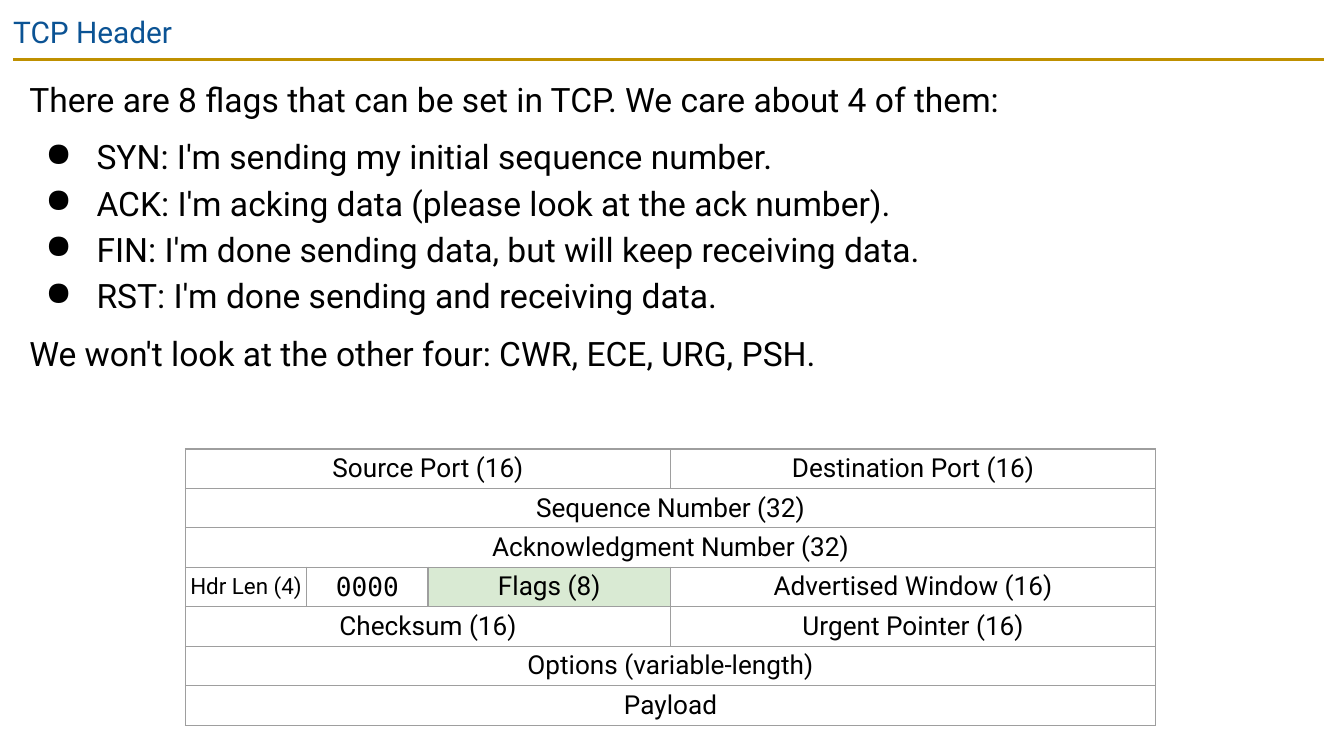
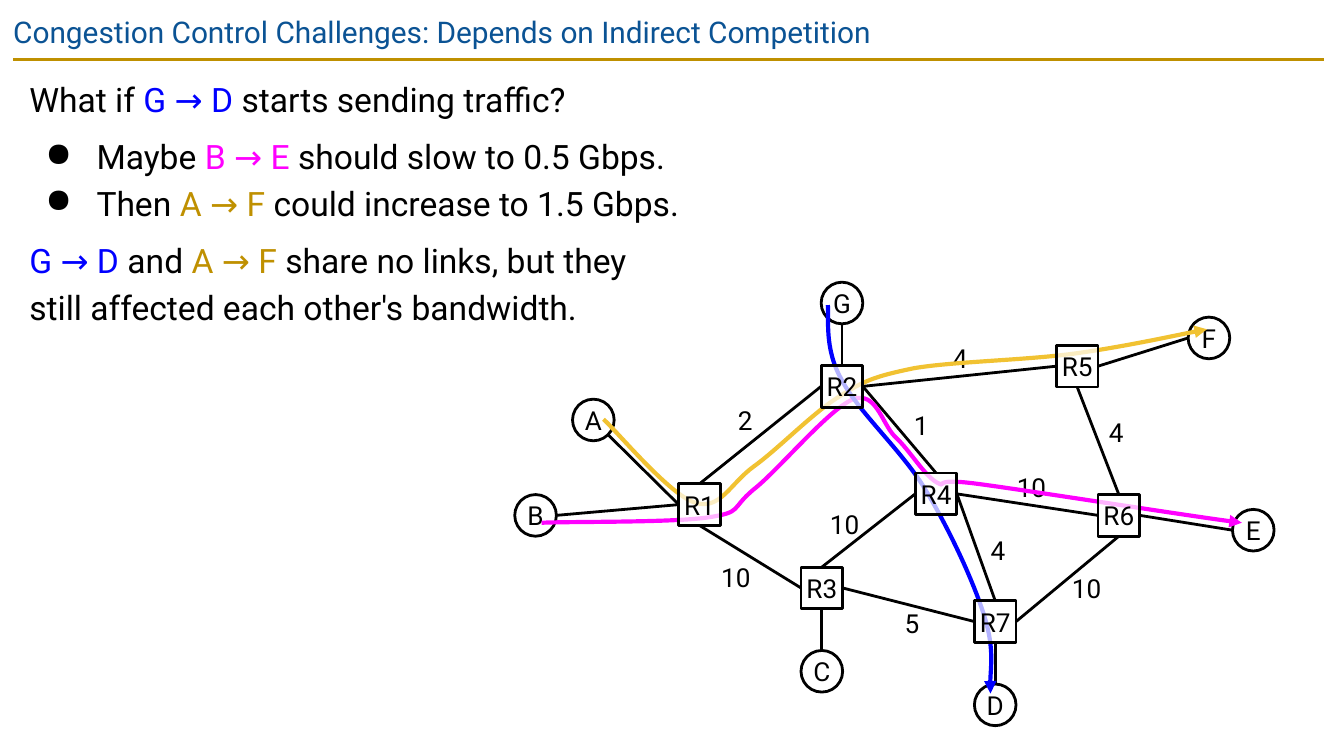
"""Builds two networking slides: the TCP header and indirect competition."""
from lxml.etree import SubElement
from pptx import Presentation
from pptx.dml.color import RGBColor
from pptx.enum.shapes import MSO_CONNECTOR, MSO_SHAPE
from pptx.enum.text import MSO_ANCHOR, MSO_AUTO_SIZE, PP_ALIGN
from pptx.oxml.ns import qn
from pptx.util import Pt

PX = 9144
FONT, MONO = "Roboto", "DejaVu Sans Mono"
BLACK, WHITE, GRAY, GREEN = "000000", "FFFFFF", "9E9E9E", "D9EAD3"
NAVY, GOLD, YELLOW = "0B5394", "BF9000", "F1C232"
BLUE, MAGENTA = "0000FF", "FF00FF"

G_D, B_E, A_F = ("G → D", BLUE), ("B → E", MAGENTA), ("A → F", GOLD)

FLAGS_BODY = [
    (False, ["There are 8 flags that can be set in TCP. We care about 4 of them:"]),
    (True, ["SYN: I'm sending my initial sequence number."]),
    (True, ["ACK: I'm acking data (please look at the ack number)."]),
    (True, ["FIN: I'm done sending data, but will keep receiving data."]),
    (True, ["RST: I'm done sending and receiving data."]),
    (False, ["We won't look at the other four: CWR, ECE, URG, PSH."]),
]
COMPETITION_BODY = [
    (False, ["What if ", G_D, " starts sending traffic?"]),
    (True, ["Maybe ", B_E, " should slow to 0.5 Gbps."]),
    (True, ["Then ", A_F, " could increase to 1.5 Gbps."]),
    (False, [G_D, " and ", A_F,
             " share no links, but they\nstill affected each other's bandwidth."]),
]

HEADER_ROWS = [
    [("Source Port (16)", 4), ("Destination Port (16)", 4)],
    [("Sequence Number (32)", 8)],
    [("Acknowledgment Number (32)", 8)],
    [("Hdr Len (4)", 1), ("0000", 1), ("Flags (8)", 2), ("Advertised Window (16)", 4)],
    [("Checksum (16)", 4), ("Urgent Pointer (16)", 4)],
    [("Options (variable-length)", 8)],
    [("Payload", 8)],
]
CELL_FORMATS = {"Hdr Len (4)": {"size": 12}, "0000": {"font": MONO}}
CELL_FILLS = {"Flags (8)": GREEN}

NODE = 31
HOSTS = {"A": (426, 297), "B": (383, 368), "C": (596, 484), "D": (725, 509),
         "E": (917, 379), "F": (884, 236), "G": (611, 210)}
ROUTERS = {"R1": (505, 360), "R3": (596, 422), "R7": (725, 447), "R4": (681, 352),
           "R2": (611, 272), "R5": (786, 257), "R6": (817, 368)}
SIDES = {"top": (0.5, 0), "left": (0, 0.5), "bottom": (0.5, 1), "right": (1, 0.5),
         "corner": (0.85, 0.85)}
LINKS = [
    ("A", "corner", "R1", "left"), ("B", "right", "R1", "left"),
    ("R1", "bottom", "R3", "left"), ("R3", "right", "R7", "left"),
    ("R4", "left", "R3", "top"), ("R4", "right", "R7", "top"),
    ("R2", "left", "R1", "top"), ("R2", "right", "R4", "top"),
    ("R2", "right", "R5", "left"), ("R6", "top", "R5", "bottom"),
    ("R6", "left", "R4", "right"), ("R6", "bottom", "R7", "right"),
    ("G", "bottom", "R2", "top"), ("F", "left", "R5", "right"),
    ("E", "left", "R6", "right"), ("D", "top", "R7", "bottom"),
    ("C", "top", "R3", "bottom"),
]
CAPACITIES = [("10", 532, 415), ("2", 539, 298), ("1", 670, 302), ("4", 699, 252),
              ("4", 815, 307), ("10", 752, 348), ("10", 793, 423), ("4", 727, 395),
              ("5", 663, 449), ("10", 613, 375)]
FLOWS = [
    (YELLOW, [(449, 312), (460, 322), (498, 368), (517, 374), (536, 380), (543, 360),
              (561, 347), (579, 334), (604, 308), (623, 296), (643, 283), (651, 280),
              (680, 274), (709, 269), (764, 268), (800, 263), (836, 258), (882, 248),
              (898, 245)]),
    (MAGENTA, [(403, 389), (424, 388), (501, 389), (527, 385), (553, 381), (543, 379),
               (561, 364), (579, 350), (617, 304), (635, 297), (652, 291), (656, 315),
               (666, 325), (677, 335), (687, 353), (697, 359), (707, 364), (689, 355),
               (727, 360), (765, 365), (891, 385), (924, 389)]),
    (BLUE, [(616, 227), (617, 236), (613, 259), (626, 282), (638, 306), (672, 336),
            (689, 365), (707, 395), (724, 432), (732, 457), (740, 482), (736, 506),
            (737, 516)]),
]


def px(*lengths):
    return [round(n * PX) for n in lengths]


def rgb(color):
    return RGBColor.from_string(color)


def write(p, runs, size=14, font=FONT, color=BLACK, align=None):
    p.alignment = align
    for run in runs:
        words, tint = (run, color) if isinstance(run, str) else run
        for i, line in enumerate(words.split("\n")):
            if i:
                p.add_line_break()
            r = p.add_run()
            r.text = line
            r.font.size, r.font.name = Pt(size), font
            r.font.color.rgb = rgb(tint)


def stroke(sp, color=BLACK, width=1.5):
    sp.line.color.rgb = rgb(color)
    sp.line.width = Pt(width)


def set_margins(frame, inset):
    for side in ("left", "right", "top", "bottom"):
        setattr(frame, f"margin_{side}", px(inset)[0])


def add_box(s, x, y, w, h, inset=10):
    tf = s.shapes.add_textbox(*px(x, y, w, h)).text_frame
    tf.word_wrap = True
    set_margins(tf, inset)
    return tf


def add_line(s, start, end, color=BLACK):
    sp = s.shapes.add_connector(MSO_CONNECTOR.STRAIGHT, *px(*start, *end))
    stroke(sp, color)
    SubElement(sp.element.spPr, qn("a:effectLst"))


def add_bullet(p):
    pPr = p._p.get_or_add_pPr()
    pPr.set("marL", str(px(50)[0]))
    pPr.set("indent", str(px(-38)[0]))
    clr = SubElement(pPr, qn("a:buClr"))
    SubElement(clr, qn("a:srgbClr"), val=BLACK)
    SubElement(pPr, qn("a:buChar"), char="●")


def add_page(prs, title, body, height):
    s = prs.slides.add_slide(prs.slide_layouts[6])
    add_line(s, (10, 44), (985, 44), GOLD)
    write(add_box(s, 0, 0, 932, 43).paragraphs[0], [title], size=16, color=NAVY)
    tf = add_box(s, 12, 44, 974, height)
    after_bullet = False
    for i, (bullet, runs) in enumerate(body):
        p = tf.add_paragraph() if i else tf.paragraphs[0]
        p.line_spacing = 1.15
        p.space_before = Pt(0 if bullet and after_bullet else 6)
        if bullet:
            add_bullet(p)
        write(p, runs, size=18)
        after_bullet = bullet
    return s


def add_borders(cell):
    tcPr = cell._tc.get_or_add_tcPr()
    for edge in "LRTB":
        ln = SubElement(tcPr, qn(f"a:ln{edge}"), w=str(Pt(0.75)))
        fill = SubElement(ln, qn("a:solidFill"))
        SubElement(fill, qn("a:srgbClr"), val=GRAY)


def add_header_table(s):
    rows, cols, row_h, width = len(HEADER_ROWS), 8, 22, 722
    frame = s.shapes.add_table(rows, cols, *px(138, 334, width, rows * row_h))
    table = frame.table
    table.first_row = table.horz_banding = False
    for column in table.columns:
        column.width = px(width / cols)[0]
    for row in table.rows:
        row.height = px(row_h)[0]
    for cell in table.iter_cells():
        set_margins(cell, 3)
        add_borders(cell)
        cell.fill.background()
    for i, fields in enumerate(HEADER_ROWS):
        j = 0
        for name, span in fields:
            cell = table.cell(i, j)
            if span > 1:
                cell.merge(table.cell(i, j + span - 1))
            cell.vertical_anchor = MSO_ANCHOR.MIDDLE
            if name in CELL_FILLS:
                cell.fill.solid()
                cell.fill.fore_color.rgb = rgb(CELL_FILLS[name])
            write(cell.text_frame.paragraphs[0], [name], align=PP_ALIGN.CENTER,
                  **CELL_FORMATS.get(name, {}))
            j += span


def add_node(s, name, x, y, kind, opacity=100):
    sp = s.shapes.add_shape(kind, *px(x, y, NODE, NODE))
    sp.shadow.inherit = False
    sp.fill.solid()
    sp.fill.fore_color.rgb = rgb(WHITE)
    if opacity < 100:
        clr = sp.element.spPr.find(f"{qn('a:solidFill')}/{qn('a:srgbClr')}")
        SubElement(clr, qn("a:alpha"), val=str(opacity * 1000))
    stroke(sp)
    tf = sp.text_frame
    tf.vertical_anchor = MSO_ANCHOR.MIDDLE
    set_margins(tf, 0)
    write(tf.paragraphs[0], [name], align=PP_ALIGN.CENTER)


def add_flow(s, color, points):
    builder = s.shapes.build_freeform(*points[0], scale=PX)
    builder.add_line_segments(points[1:], close=False)
    sp = builder.convert_to_shape()
    sp.shadow.inherit = False
    sp.fill.background()
    stroke(sp, color, 2.25)
    SubElement(sp.element.spPr.find(qn("a:ln")), qn("a:tailEnd"), type="triangle")
    segments = list(sp.element.iter(qn("a:lnTo")))
    outline = segments[0].getparent()
    for i in range(0, len(segments), 3):
        curve = SubElement(outline, qn("a:cubicBezTo"))
        for segment in segments[i:i + 3]:
            curve.append(segment[0])
            outline.remove(segment)


def site(name, side):
    x, y = (HOSTS | ROUTERS)[name]
    dx, dy = SIDES[side]
    return x + dx * NODE, y + dy * NODE


def add_network(s):
    for name, (x, y) in HOSTS.items():
        add_node(s, name, x, y, MSO_SHAPE.OVAL)
    for a, a_side, b, b_side in LINKS:
        add_line(s, site(a, a_side), site(b, b_side))
    for capacity, x, y in CAPACITIES:
        tf = add_box(s, x, y, 31, 30, inset=3)
        tf.auto_size = MSO_AUTO_SIZE.SHAPE_TO_FIT_TEXT
        write(tf.paragraphs[0], [capacity], align=PP_ALIGN.CENTER)
    for color, points in FLOWS:
        add_flow(s, color, points)
    for name, (x, y) in ROUTERS.items():
        add_node(s, name, x, y, MSO_SHAPE.RECTANGLE, opacity=70)


def main():
    prs = Presentation()
    prs.slide_width, prs.slide_height = px(1000, 1000 * 9 / 16)
    add_header_table(add_page(prs, "TCP Header", FLAGS_BODY, 267))
    add_network(add_page(
        prs, "Congestion Control Challenges: Depends on Indirect Competition",
        COMPETITION_BODY, 228))
    prs.save("out.pptx")


if __name__ == "__main__":
    main()
